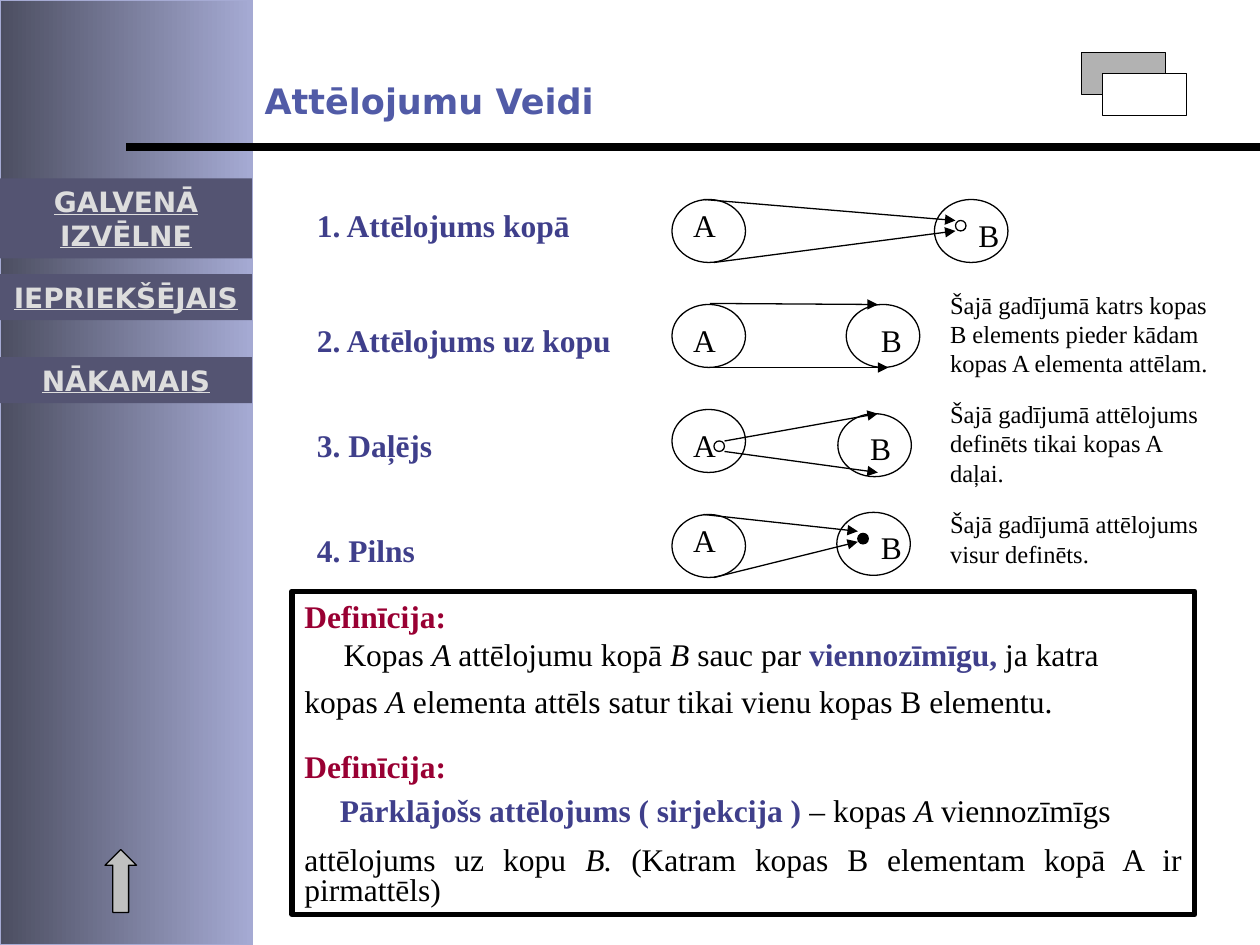
from lxml import etree
from pptx import Presentation
from pptx import util as u
from pptx.dml.color import RGBColor
from pptx.enum import shapes, text
from pptx.oxml.ns import qn

BLACK = RGBColor(0x00, 0x00, 0x00)
WHITE = RGBColor(0xFF, 0xFF, 0xFF)
SIDEBAR_DARK = RGBColor(0x4C, 0x4E, 0x61)
SIDEBAR_LIGHT = RGBColor(0xA5, 0xAA, 0xD3)
BUTTON = RGBColor(0x54, 0x54, 0x72)
BUTTON_TEXT = RGBColor(0xDD, 0xDD, 0xDD)
TITLE = RGBColor(0x51, 0x5B, 0xA7)
TERM = RGBColor(0x3F, 0x3F, 0x8B)
HEADING = RGBColor(0x99, 0x00, 0x33)
GREY = RGBColor(0xB2, 0xB2, 0xB2)
ARROW_GREY = RGBColor(0xC0, 0xC0, 0xC0)

SANS, SERIF = "DejaVu Sans", "Times New Roman"
COLS, ROWS = 120, 90
CELL = u.Inches(10) / COLS
SHAPE, ALIGN, ANCHOR = shapes.MSO_SHAPE, text.PP_ALIGN, text.MSO_ANCHOR

PLAIN = dict(name=SERIF, size=u.Pt(18), bold=False, italic=False, color=BLACK)
ITALIC = dict(PLAIN, italic=True)
BOLD_TERM = dict(PLAIN, bold=True, color=TERM)
BOLD_HEADING = dict(PLAIN, bold=True, color=HEADING)
NOTE = dict(PLAIN, size=u.Pt(14))
TITLE_FONT = dict(name=SANS, size=u.Pt(20), bold=True, color=TITLE)
BUTTON_FONT = dict(name=SANS, size=u.Pt(16), bold=True, underline=True, color=BUTTON_TEXT)

MAPPINGS = [
    dict(label="1. Attēlojums kopā", label_at=(0, 0, 28), a_row=0,
         b_at=(60, 0), b_text=(63, 1), dot=(62, 2, None),
         arrows=[(38, 0, 62, 2), (39, 6, 62, 3)], note=None),
    dict(label="2. Attēlojums uz kopu", label_at=(0, 1, 33), a_row=1,
         b_at=(51.6, 0), b_text=(53.7, 1), dot=None,
         arrows=[(38.6, -0.1, 54.6, 0), (38.6, 6, 55.6, 6)],
         note=("Šajā gadījumā katrs kopas B elements pieder kādam kopas A elementa attēlam.", -2, 9.6)),
    dict(label="3. Daļējs", label_at=(0, 1, 16), a_row=1,
         b_at=(50.8, 0.4), b_text=(52.7, 1.3), dot=(39, 3, None),
         arrows=[(40, 4, 54.6, 6), (40, 3, 54.6, 0.4)],
         note=("Šajā gadījumā attēlojums definēts tikai kopas A daļai.", -1.6, 9.6)),
    dict(label="4. Pilns", label_at=(0, 1, 14), a_row=0,
         b_at=(50.7, -0.2), b_text=(53.7, 0.7), dot=(52.7, 1.8, BLACK),
         arrows=[(38, 0, 52.7, 1.6), (39, 6, 52.7, 2.6)],
         note=("Šajā gadījumā attēlojums visur definēts.", -1.1, 6.8)),
]

DEFINITIONS = [
    (dict(), 0, [("Definīcija:", BOLD_HEADING)]),
    (dict(line_spacing=0.4, space_before=u.Pt(11.2)), 0.31,
     [("Kopas ", PLAIN), ("A ", ITALIC), ("attēlojumu kopā ", PLAIN), ("B ", ITALIC),
      ("sauc par ", PLAIN), ("viennozīmīgu, ", BOLD_TERM), ("ja katra", PLAIN)]),
    (dict(line_spacing=0.8, space_before=u.Pt(11.2)), 0,
     [("kopas ", PLAIN), ("A", ITALIC),
      (" elementa attēls satur tikai vienu kopas B elementu.", PLAIN)]),
    (dict(line_spacing=0.3, space_before=u.Pt(28.6)), 0, [("Definīcija:", BOLD_HEADING)]),
    (dict(line_spacing=0.7, space_before=u.Pt(11.2)), 0.28,
     [("Pārklājošs attēlojums ( sirjekcija )", BOLD_TERM), (" – kopas ", PLAIN),
      ("A ", ITALIC), ("viennozīmīgs", PLAIN)]),
    (dict(line_spacing=0.8, space_before=u.Pt(11.2)), 0,
     [("attēlojums uz kopu ", PLAIN), ("B. ", ITALIC),
      ("(Katram kopas B elementam kopā A ir pirmattēls)", PLAIN)]),
]


def cells(*counts):
    return [u.Emu(round(count * CELL)) for count in counts]


def assign(target, values):
    for key, value in values.items():
        if key == "color":
            target.color.rgb = value
        else:
            setattr(target, key, value)


def place(shape, box):
    assign(shape, dict(zip(("left", "top", "width", "height"), cells(*box))))


def write(paragraph, runs, **layout):
    assign(paragraph, layout)
    for words, font in runs:
        run = paragraph.add_run()
        run.text = words
        assign(run.font, font)


def add_label(slide, box, words, font, wrap=True, align=ALIGN.LEFT):
    label = slide.shapes.add_textbox(*cells(*box))
    label.text_frame.word_wrap = wrap
    write(label.text_frame.paragraphs[0], [(words, font)], alignment=align)


def add_figure(slide, kind, box, fill=None, line=BLACK):
    figure = slide.shapes.add_shape(kind, *cells(*box))
    figure.shadow.inherit = False
    for part, color in ((figure.fill, fill), (figure.line.fill, line)):
        if color is None:
            part.background()
        else:
            part.solid()
            part.fore_color.rgb = color
    if line is not None:
        figure.line.width = u.Pt(0.75)
    return figure


def add_line(slide, ends, width, arrow=False):
    line = slide.shapes.add_connector(shapes.MSO_CONNECTOR.STRAIGHT, *cells(*ends))
    assign(line.line, dict(width=u.Pt(width), color=BLACK))
    if arrow:
        etree.SubElement(line.line._get_or_add_ln(), qn("a:tailEnd"), type="triangle")
    etree.SubElement(line._element.spPr, qn("a:effectLst"))


def sidebar(slide, left, top, width, height):
    panel = add_figure(slide, SHAPE.RECTANGLE, (left, top, width, height), line=SIDEBAR_LIGHT)
    panel.fill.gradient()
    panel.fill.gradient_angle = 0
    for stop, color in zip(panel.fill.gradient_stops, (SIDEBAR_DARK, SIDEBAR_LIGHT)):
        stop.color.rgb = color
    buttons = [("GALVENĀ IZVĒLNE", 17, 7.6, 0.1), ("IEPRIEKŠĒJAIS", 26.1, 4.4, 0),
               ("NĀKAMAIS", 34, 4.4, 0.1)]
    for words, row, rows, inset in buttons:
        button = add_figure(slide, SHAPE.RECTANGLE, (left, top + row, width, rows), BUTTON, None)
        assign(button.text_frame, dict(word_wrap=True, vertical_anchor=ANCHOR.MIDDLE,
                                       margin_left=u.Inches(inset), margin_right=u.Inches(inset)))
        write(button.text_frame.paragraphs[0], [(words, BUTTON_FONT)], alignment=ALIGN.CENTER)
    up = add_figure(slide, SHAPE.RIGHT_ARROW, (left + 8.5, top + 82.4, 6, 3), ARROW_GREY)
    up.rotation = 270


def header(slide, left, top, width, height):
    title = slide.shapes.title
    place(title, (left, top + 2, 44, 5.3))
    assign(title.text_frame, dict(word_wrap=True, vertical_anchor=ANCHOR.TOP,
                                  auto_size=text.MSO_AUTO_SIZE.NONE))
    write(title.text_frame.paragraphs[0], [("Attēlojumu Veidi", TITLE_FONT)], alignment=ALIGN.LEFT)
    add_line(slide, (left + width, top + height, left - 12, top + height), 4.5)
    for step, fill in enumerate((GREY, WHITE)):
        add_figure(slide, SHAPE.RECTANGLE, (left + 79 + 2 * step, top + 2 * step, 8, 4), fill)


def mapping(slide, left, top, content):
    def at(x, y, *size):
        return (left + x, top + y, *size)

    x, y, width = content["label_at"]
    add_label(slide, at(x, y, width, 4.8), content["label"], BOLD_TERM)
    sets = [("A", (35, 0), (35, content["a_row"], 6.2, 4.8)),
            ("B", content["b_at"], (*content["b_text"], 4, 4.8))]
    for letter, oval, name in sets:
        add_figure(slide, SHAPE.OVAL, at(*oval, 7, 6))
        add_label(slide, at(*name), letter, PLAIN, wrap=False, align=ALIGN.CENTER)
    if content["dot"]:
        x, y, fill = content["dot"]
        add_figure(slide, SHAPE.OVAL, at(x, y, 1, 1), fill)
    for x1, y1, x2, y2 in content["arrows"]:
        add_line(slide, at(x1, y1) + at(x2, y2), 0.75, arrow=True)
    if content["note"]:
        words, y, height = content["note"]
        add_label(slide, at(60.3, y, 27.4, height), words, NOTE)


def definitions(slide, box):
    body = slide.placeholders[1]
    place(body, box)
    assign(body.line, dict(width=u.Pt(3), color=BLACK))
    frame = body.text_frame
    assign(frame, dict(word_wrap=True, vertical_anchor=ANCHOR.TOP,
                       auto_size=text.MSO_AUTO_SIZE.NONE))
    for index, (spacing, indent, runs) in enumerate(DEFINITIONS):
        paragraph = frame.add_paragraph() if index else frame.paragraphs[0]
        properties = paragraph._p.get_or_add_pPr()
        properties.set("marL", "0")
        properties.set("indent", str(u.Inches(indent)))
        etree.SubElement(properties, qn("a:buNone"))
        layout = dict(line_spacing=1.0, space_before=u.Pt(0), alignment=ALIGN.JUSTIFY)
        write(paragraph, runs, **{**layout, **spacing})


def main():
    deck = Presentation()
    assign(deck, dict(zip(("slide_width", "slide_height"), cells(COLS, ROWS))))
    slide = deck.slides.add_slide(deck.slide_layouts[1])
    sidebar(slide, 0, 0, 24, ROWS)
    header(slide, 24, 5, 96, 9)
    for index, content in enumerate(MAPPINGS):
        mapping(slide, 29, 19 + 10 * index, content)
    definitions(slide, (27.8, 56.3, 86, 30.8))
    deck.save("out.pptx")


if __name__ == "__main__":
    main()
